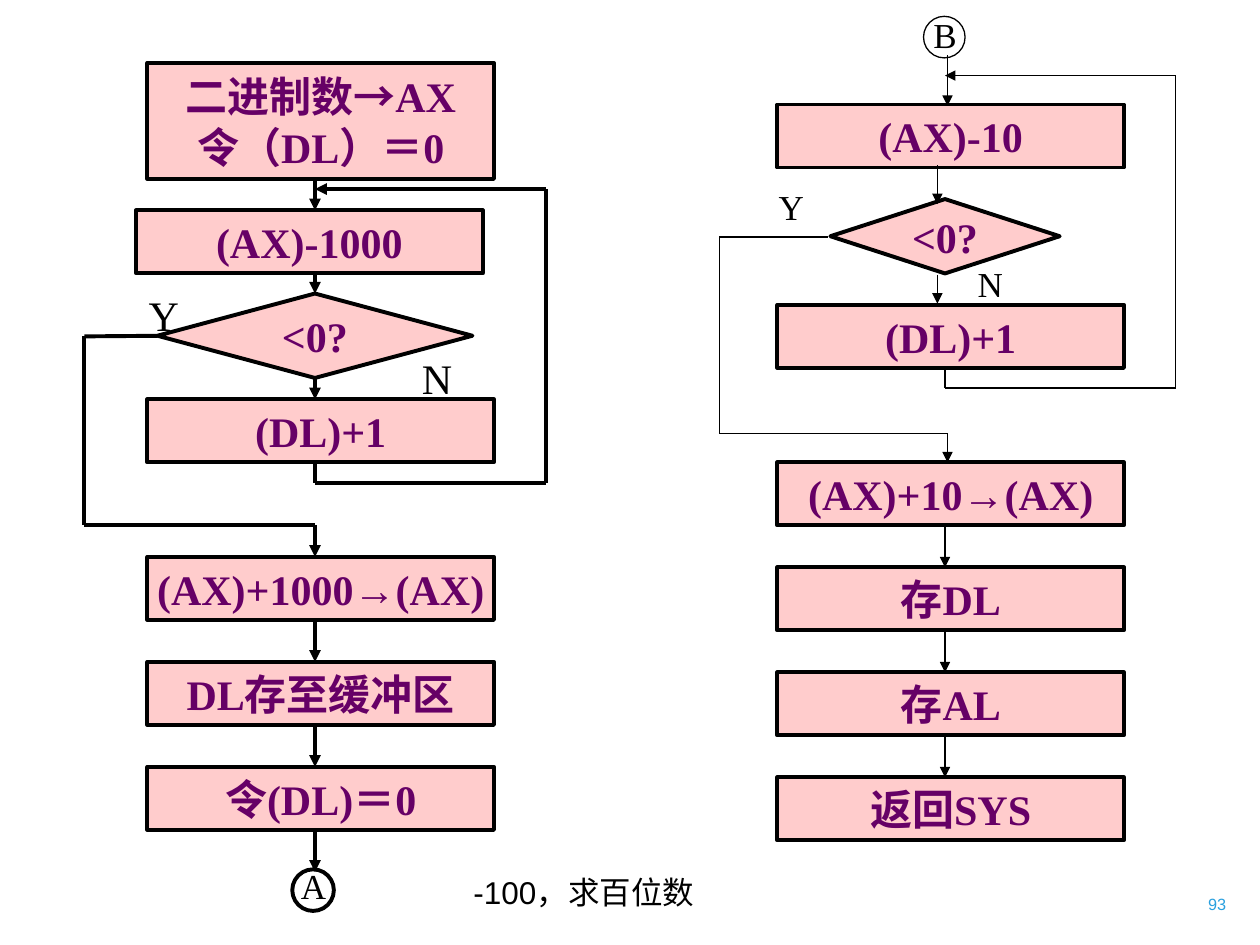
from dataclasses import dataclass
from itertools import pairwise

from lxml.etree import SubElement
from pptx import Presentation
from pptx.dml.color import RGBColor
from pptx.enum.shapes import MSO_CONNECTOR, MSO_SHAPE
from pptx.enum.text import MSO_ANCHOR, MSO_AUTO_SIZE, PP_ALIGN
from pptx.oxml.ns import qn
from pptx.util import Inches, Pt


@dataclass(frozen=True)
class Theme:
    ink: RGBColor = RGBColor(0x00, 0x00, 0x00)
    pink: RGBColor = RGBColor(0xFF, 0xCC, 0xCC)
    plum: RGBColor = RGBColor(0x66, 0x00, 0x66)
    blue: RGBColor = RGBColor(0x2A, 0xA0, 0xDF)
    serif: str = "Times New Roman"
    sans: str = "Arial"
    large: float = 24
    mid: float = 20
    note: float = 18
    page: float = 9.3
    thick: float = 2.25
    thin: float = 0.75


THEME = Theme()
BOX_W, BOX_H = 2.75, 0.5
STEP = 5 / 6
LEFT_X, RIGHT_X = 1.17, 6.17
LEFT_MID, RIGHT_MID = 2.5, 7.5


def add_run(para, text, size, font, color, bold=False):
    run = para.add_run()
    run.text = text
    run.font.size = Pt(size)
    run.font.name = font
    run.font.bold = bold
    run.font.color.rgb = color


def add_label(slide, area, text, size, font=THEME.serif, color=THEME.ink,
              inset=(0.1, 0.05), indent=0):
    box = slide.shapes.add_textbox(*map(Inches, area))
    frame = box.text_frame
    frame.word_wrap = True
    frame.auto_size = MSO_AUTO_SIZE.SHAPE_TO_FIT_TEXT
    side, edge = map(Inches, inset)
    frame.margin_left = side + Inches(indent)
    frame.margin_right = side
    frame.margin_top = frame.margin_bottom = edge
    para = frame.paragraphs[0]
    add_run(para, text, size, font, color)
    return para


def add_node(slide, kind, area, *lines):
    node = slide.shapes.add_shape(kind, *map(Inches, area))
    node.shadow.inherit = False
    node.fill.solid()
    node.fill.fore_color.rgb = THEME.pink
    node.line.color.rgb = THEME.ink
    node.line.width = Pt(THEME.thick)
    frame = node.text_frame
    frame.word_wrap = False
    frame.vertical_anchor = MSO_ANCHOR.MIDDLE
    for i, runs in enumerate(lines):
        para = frame.add_paragraph() if i else frame.paragraphs[0]
        para.alignment = PP_ALIGN.CENTER
        for text in runs:
            font = THEME.sans if text == "→" else THEME.serif
            add_run(para, text, THEME.large, font, THEME.plum, True)
    return node


def add_box(slide, x, y, *lines, height=BOX_H):
    return add_node(slide, MSO_SHAPE.FLOWCHART_PROCESS,
                    (x, y, BOX_W, height), *lines)


def add_test(slide, area):
    return add_node(slide, MSO_SHAPE.FLOWCHART_DECISION, area, ("<0?",))


def add_ring(slide, x, y, width):
    ring = slide.shapes.add_shape(
        MSO_SHAPE.OVAL, *map(Inches, (x, y, 0.33, 0.33)))
    ring.shadow.inherit = False
    ring.fill.background()
    ring.line.color.rgb = THEME.ink
    ring.line.width = Pt(width)


def add_line(slide, start, end, width, arrow=False):
    line = slide.shapes.add_connector(
        MSO_CONNECTOR.STRAIGHT, *map(Inches, (*start, *end)))
    line.line.color.rgb = THEME.ink
    line.line.width = Pt(width)
    if arrow:
        SubElement(line.line._get_or_add_ln(), qn("a:tailEnd"), type="triangle")
    SubElement(line._element.spPr, qn("a:effectLst"))
    return line


def add_route(slide, points, width, arrow=True):
    last = len(points) - 2
    return [add_line(slide, start, end, width, arrow and i == last)
            for i, (start, end) in enumerate(pairwise(points))]


def add_stack(slide, x, mid, top, width, rows):
    for i, runs in enumerate(rows):
        y = top + i * STEP
        add_box(slide, x, y, runs)
        if i:
            add_line(slide, (mid, y - STEP + BOX_H), (mid, y), width, True)


def draw_left(slide):
    mid, thick = LEFT_MID, THEME.thick
    add_label(slide, (0.83, 2.25, 0.92, 0.5), "Y", THEME.large, indent=0.25)
    add_label(slide, (3.25, 2.75, 0.58, 0.5), "N", THEME.large)
    add_box(slide, LEFT_X, 0.5, ("二进制数", "→", "AX"), ("令（DL）＝0",),
            height=0.92)
    add_box(slide, 1.08, 1.67, ("(AX)-1000",))
    test = add_test(slide, (1.25, 2.33, 2.5, 0.67))
    add_box(slide, LEFT_X, 3.17, ("(DL)+1",))
    add_stack(slide, LEFT_X, mid, 4.42, thick,
              (("(AX)+1000", "→", "(AX)"), ("DL存至缓冲区",), ("令(DL)＝0",)))
    add_label(slide, (2.29, 6.81, 0.39, 0.44), "A", THEME.mid)
    add_ring(slide, 2.32, 6.9, thick)

    add_line(slide, (mid, 1.42), (mid, 1.67), thick, True)
    add_line(slide, (mid, 2.17), (mid, 2.33), thick, True).end_connect(test, 0)
    add_line(slide, (mid, 3), (mid, 3.17), thick, True).begin_connect(test, 2)
    add_line(slide, (mid, 6.58), (mid, 6.92), thick, True)
    add_line(slide, (mid, 7.17), (mid, 7.17), thick)
    add_route(slide, ((mid, 3.67), (mid, 3.83), (4.33, 3.83), (4.33, 1.5),
                      (mid, 1.5)), thick)
    leave = add_route(slide, ((1.25, 2.67), (0.67, 2.67), (0.67, 4.17),
                              (mid, 4.17), (mid, 4.42)), thick)
    leave[0].begin_connect(test, 1)


def draw_right(slide):
    mid, thin = RIGHT_MID, THEME.thin
    add_label(slide, (6.18, 1.47, 0.31, 0.33), "Y", THEME.mid, inset=(0, 0))
    add_label(slide, (7.76, 2.08, 0.31, 0.33), "N", THEME.mid, inset=(0, 0))
    add_box(slide, RIGHT_X, 0.83, ("(AX)-10",))
    add_test(slide, (6.59, 1.58, 1.82, 0.59))
    add_box(slide, RIGHT_X, 2.42, ("(DL)+1",))
    add_stack(slide, RIGHT_X, mid, 3.67, thin,
              (("(AX)+10", "→", "(AX)"), ("存DL",), ("存AL",), ("返回SYS",)))
    add_label(slide, (7.31, 0.06, 0.54, 0.44), "B", THEME.mid)
    add_ring(slide, 7.33, 0.13, thin)

    for x, top, end in ((7.52, 0.44, 0.84), (7.44, 1.31, 1.62),
                        (7.44, 2.18, 2.41)):
        add_line(slide, (x, top), (x, end), thin, True)
    add_route(slide, ((mid, 2.92), (mid, 3.08), (9.33, 3.08), (9.33, 0.6)),
              thin, False)
    add_line(slide, (9.33, 0.6), (mid, 0.6), 1, True)
    add_route(slide, ((6.57, 1.88), (5.71, 1.88), (5.71, 3.44),
                      (7.52, 3.44), (7.52, 3.67)), thin)


def main():
    deck = Presentation()
    deck.slide_width, deck.slide_height = Inches(10), Inches(7.5)
    slide = deck.slides.add_slide(deck.slide_layouts[6])
    draw_left(slide)
    draw_right(slide)
    add_label(slide, (3.66, 6.88, 2.37, 0.4), "-100，求百位数",
              THEME.note, THEME.sans)
    page = add_label(slide, (9, 7.08, 0.83, 0.27), "93", THEME.page,
                     THEME.sans, THEME.blue)
    page.alignment = PP_ALIGN.RIGHT
    page.line_spacing = 0.8
    deck.save("out.pptx")


if __name__ == "__main__":
    main()
